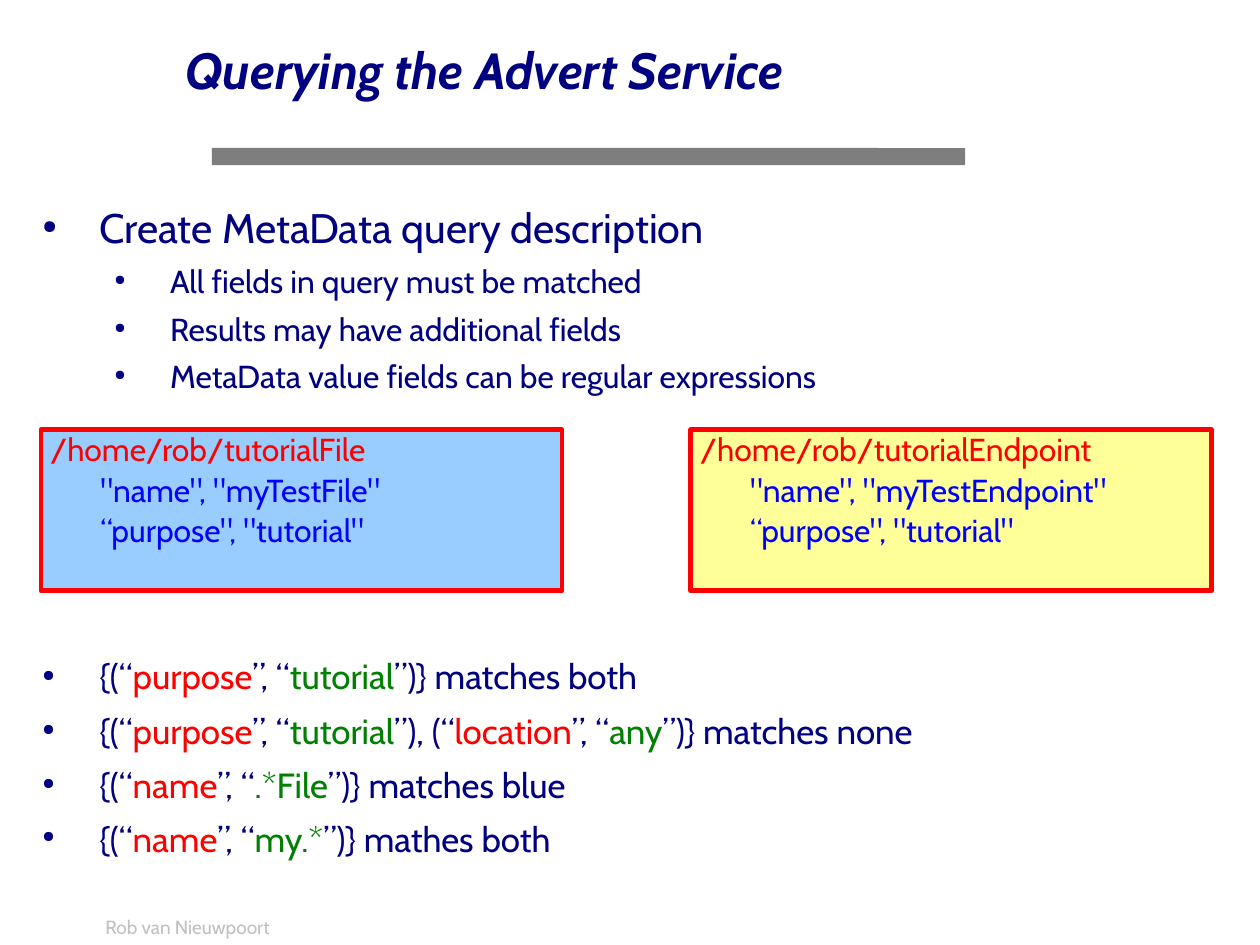
from dataclasses import dataclass

from lxml import etree
from pptx import Presentation
from pptx import util as u
from pptx.dml.color import RGBColor
from pptx.enum import shapes, text
from pptx.oxml import ns


@dataclass(frozen=True)
class Theme:
    font: str = "Cabin"
    bullet_font: str = "StarSymbol"
    navy: str = "000080"
    red: str = "FF0000"
    green: str = "008000"
    blue: str = "0000FF"
    bar: str = "7E7E7E"
    footer: str = "C0C0C0"
    file_card: str = "99CCFF"
    endpoint_card: str = "FFFF99"
    title_size: float = 32
    topic_size: float = 26
    query_size: float = 22
    detail_size: float = 20
    footer_size: float = 12


@dataclass(frozen=True)
class Run:
    words: str
    color: str


@dataclass(frozen=True)
class Line:
    runs: list[Run]
    size: float
    spacing: float = 0.98
    before: float = 0
    margin: float = 0
    hanging: float = 0
    heading: bool = False


@dataclass(frozen=True)
class Card:
    left: float
    fill: str
    location: str
    entry: str


@dataclass(frozen=True)
class Query:
    pairs: list[tuple[str, str]]
    verdict: str


THEME = Theme()

DETAILS = [
    "All fields in query must be matched",
    "Results may have additional fields",
    "MetaData value fields can be regular expressions",
]
CARDS = [
    Card(0.91, THEME.file_card, "/home/rob/tutorialFile", "myTestFile"),
    Card(15.35, THEME.endpoint_card, "/home/rob/tutorialEndpoint", "myTestEndpoint"),
]
QUERIES = [
    Query([("purpose", "tutorial")], "matches both"),
    Query([("purpose", "tutorial"), ("location", "any")], "matches none"),
    Query([("name", ".*File")], "matches blue"),
    Query([("name", "my.*")], "mathes both"),
]


def add_bullet(properties) -> None:
    color = etree.SubElement(properties, ns.qn("a:buClr"))
    etree.SubElement(color, ns.qn("a:srgbClr"), val=THEME.navy)
    etree.SubElement(properties, ns.qn("a:buSzPct"), val="45000")
    etree.SubElement(properties, ns.qn("a:buFont"), typeface=THEME.bullet_font)
    etree.SubElement(properties, ns.qn("a:buChar"), char="●")


def write(frame, lines: list[Line], inset: tuple[float, float] = (0, 0),
          anchor=text.MSO_ANCHOR.TOP) -> None:
    frame.word_wrap = True
    frame.vertical_anchor = anchor
    frame.margin_left = frame.margin_right = u.Cm(inset[0])
    frame.margin_top = frame.margin_bottom = u.Cm(inset[1])
    for index, line in enumerate(lines):
        paragraph = frame.add_paragraph() if index else frame.paragraphs[0]
        paragraph.alignment = text.PP_ALIGN.LEFT
        paragraph.line_spacing = line.spacing
        paragraph.space_before = u.Pt(line.before)
        properties = paragraph._p.get_or_add_pPr()
        properties.set("marL", str(u.Cm(line.margin)))
        properties.set("indent", str(u.Cm(-line.hanging)))
        if line.hanging:
            add_bullet(properties)
        for part in line.runs:
            run = paragraph.add_run()
            run.text = part.words
            run.font.name = THEME.font
            run.font.size = u.Pt(line.size)
            run.font.bold = run.font.italic = line.heading
            run.font.color.rgb = RGBColor.from_string(part.color)


def add_text(slide, left: float, top: float, width: float, height: float,
             lines: list[Line], **layout) -> None:
    box = slide.shapes.add_textbox(u.Cm(left), u.Cm(top), u.Cm(width), u.Cm(height))
    write(box.text_frame, lines, **layout)


def add_block(slide, left: float, top: float, width: float, height: float, fill: str,
              outline=shapes.MSO_SHAPE.RECTANGLE):
    block = slide.shapes.add_shape(
        outline, u.Cm(left), u.Cm(top), u.Cm(width), u.Cm(height))
    block.shadow.inherit = False
    block.fill.solid()
    block.fill.fore_color.rgb = RGBColor.from_string(fill)
    block.line.fill.background()
    return block


def add_card(slide, card: Card) -> None:
    block = add_block(slide, card.left, 9.55, 11.58, 3.58, card.fill)
    block.line.color.rgb = RGBColor.from_string(THEME.red)
    block.line.width = u.Pt(2.89)
    entries = [f'"name", "{card.entry}"', '“purpose", "tutorial"']
    lines = [Line([Run(card.location, THEME.red)], THEME.detail_size, margin=0.16)]
    lines += [Line([Run(entry, THEME.blue)], THEME.detail_size, 1.05, margin=1.27)
              for entry in entries]
    write(block.text_frame, lines, inset=(0.05, 0.04))


def query_runs(query: Query) -> list[Run]:
    runs = []
    opening = "{(“"
    for key, value in query.pairs:
        runs += [Run(opening, THEME.navy), Run(key, THEME.red),
                 Run("”, “", THEME.navy), Run(value, THEME.green)]
        opening = "”), (“"
    return runs + [Run("”)} " + query.verdict, THEME.navy)]


def main() -> None:
    deck = Presentation()
    deck.slide_width, deck.slide_height = u.Cm(28), u.Cm(21)
    slide = deck.slides.add_slide(deck.slide_layouts[6])

    # Title, rule and footer
    rule = add_block(slide, 4.71, 3.29, 16.74, 0.38, THEME.bar,
                     shapes.MSO_SHAPE.ROUNDED_RECTANGLE)
    rule.adjustments[0] = 0.01
    add_text(slide, 2.09, 20.16, 6.17, 0.84,
             [Line([Run("Rob van Nieuwpoort", THEME.footer)], THEME.footer_size, before=7.5)],
             inset=(0.25, 0.13), anchor=text.MSO_ANCHOR.BOTTOM)
    add_text(slide, 4.12, 0, 17.55, 3.18,
             [Line([Run("Querying the Advert Service", THEME.navy)],
                   THEME.title_size, heading=True)],
             anchor=text.MSO_ANCHOR.MIDDLE)

    # Query rules
    rules = [Line([Run("Create MetaData query description", THEME.navy)],
                  THEME.topic_size, before=6.5, margin=1.27, hanging=1.27)]
    rules += [Line([Run(detail, THEME.navy)], THEME.detail_size, 1.04, 5, 2.84, 1.24)
              for detail in DETAILS]
    add_text(slide, 0.94, 4.54, 26.14, 4.62, rules)

    # Advertised objects
    for card in CARDS:
        add_card(slide, card)

    # Example queries
    examples = [Line(query_runs(query), THEME.query_size, 1.04 if index else 0.98,
                     6.5, 1.27, 1.27)
                for index, query in enumerate(QUERIES)]
    add_text(slide, 0.94, 14.59, 26.14, 4.62, examples)

    deck.save("out.pptx")


if __name__ == "__main__":
    main()
